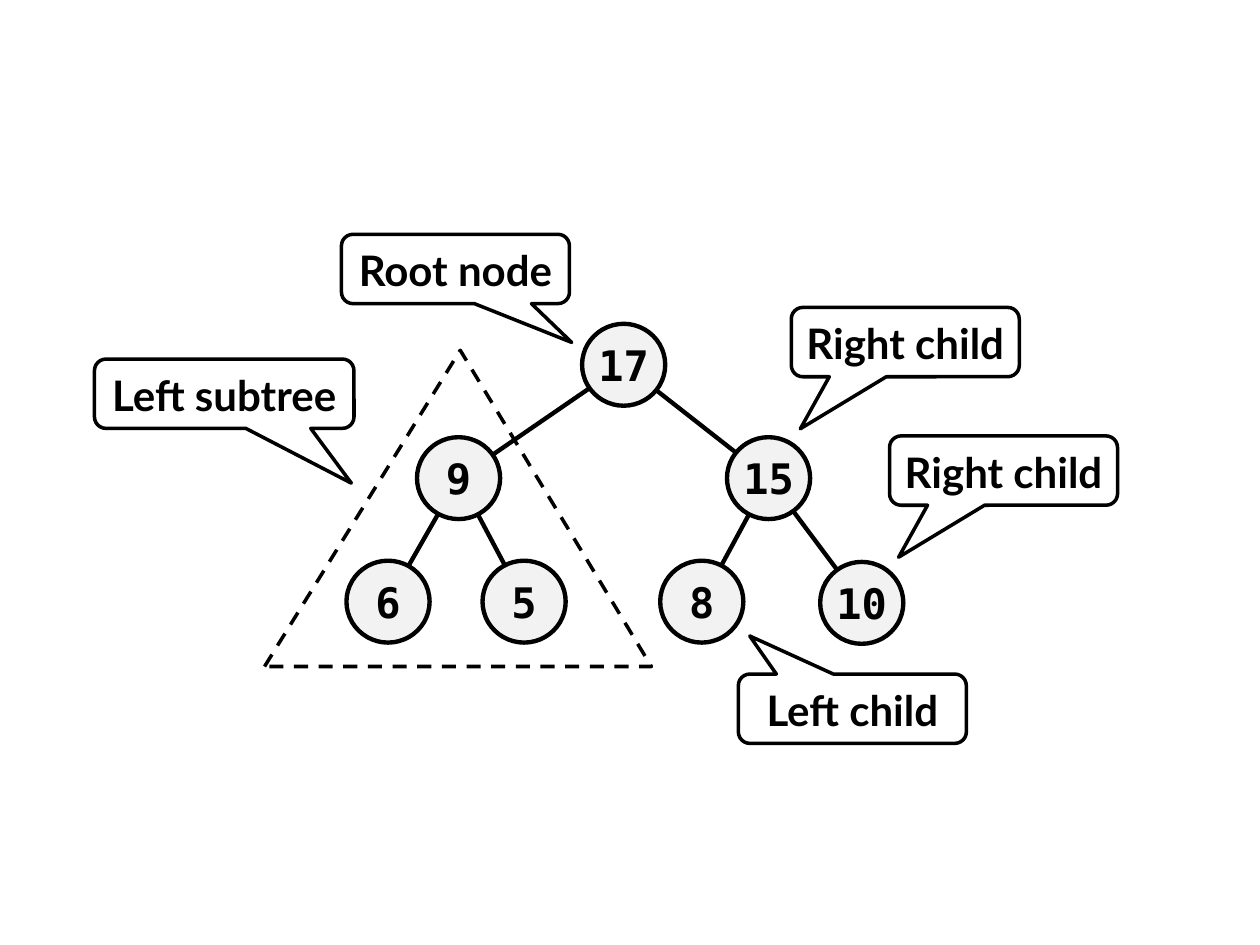
from math import hypot

from lxml import etree
from pptx import Presentation
from pptx.dml.color import RGBColor
from pptx.enum.dml import MSO_LINE
from pptx.enum.shapes import MSO_CONNECTOR, MSO_SHAPE
from pptx.enum.text import MSO_ANCHOR, MSO_AUTO_SIZE, PP_ALIGN
from pptx.oxml.ns import qn
from pptx.util import Inches, Pt

BLACK, WHITE, NODE_GREY = "000000", "FFFFFF", "F2F2F2"
NODE_W, NODE_H = 0.66, 0.65

NODES = {
    "10": (3.76, 1.89), "17": (1.87, 0), "15": (3.02, 0.9), "9": (0.56, 0.9),
    "6": (0, 1.88), "5": (1.08, 1.88), "8": (2.49, 1.88),
}
EDGES = [("17", "9"), ("9", "6"), ("9", "5"), ("17", "15"), ("15", "8"), ("15", "10")]
CALLOUTS = [
    ("Root node", 2.71, 1.86, 1.81, (0.51, 1.06)),
    ("Left subtree", 0.75, 2.85, 2.06, (0.49, 1.29)),
    ("Right child", 6.28, 2.44, 1.81, (-0.46, 1.25)),
    ("Right child", 7.06, 3.46, 1.81, (-0.46, 1.25)),
    ("Left child", 5.86, 5.35, 1.81, (-0.45, -1.05)),
]


def color(hex_code):
    """Turn a hex string into a colour."""
    return RGBColor.from_string(hex_code)


def add_outlined(slide, kind, box, line_width, fill=None):
    """Add a black-outlined preset shape in a box given in inches."""
    shape = slide.shapes.add_shape(kind, *map(Inches, box))
    shape.shadow.inherit = False
    if fill:
        shape.fill.solid()
        shape.fill.fore_color.rgb = color(fill)
    else:
        shape.fill.background()
    shape.line.color.rgb = color(BLACK)
    shape.line.width = Pt(line_width)
    return shape


def write_label(shape, text, font_name):
    """Write one centred bold label and return its paragraph."""
    paragraph = shape.text_frame.paragraphs[0]
    paragraph.alignment = PP_ALIGN.CENTER
    run = paragraph.add_run()
    run.text = text
    run.font.name = font_name
    run.font.size = Pt(24)
    run.font.bold = True
    run.font.color.rgb = color(BLACK)
    return paragraph


def add_edge(slide, parent, child):
    """Join the rims of two nodes given by their centres."""
    (x1, y1), (x2, y2) = parent, child
    share = NODE_W / 2 / hypot(x2 - x1, y2 - y1)
    dx, dy = (x2 - x1) * share, (y2 - y1) * share
    ends = (x1 + dx, y1 + dy, x2 - dx, y2 - dy)
    edge = slide.shapes.add_connector(MSO_CONNECTOR.STRAIGHT, *map(Inches, ends))
    edge.line.color.rgb = color(BLACK)
    edge.line.width = Pt(2.5)
    etree.SubElement(edge._element.spPr, qn("a:effectLst"))


def add_tree(slide, left, top):
    """Draw the edges and nodes of the tree from its top-left corner."""
    centres = {
        value: (left + x + NODE_W / 2, top + y + NODE_H / 2)
        for value, (x, y) in NODES.items()
    }
    for parent, child in EDGES:
        add_edge(slide, centres[parent], centres[child])
    for value, (x, y) in NODES.items():
        box = (left + x, top + y, NODE_W, NODE_H)
        node = add_outlined(slide, MSO_SHAPE.OVAL, box, 2.5, NODE_GREY)
        node.text_frame.word_wrap = False
        node.text_frame.vertical_anchor = MSO_ANCHOR.MIDDLE
        write_label(node, value, "DejaVu Sans Mono")


def add_subtree_outline(slide, box):
    """Draw the dashed triangle around a subtree."""
    triangle = add_outlined(slide, MSO_SHAPE.ISOSCELES_TRIANGLE, box, 2)
    triangle.adjustments[0] = 0.506
    triangle.line.dash_style = MSO_LINE.DASH


def add_callout(slide, text, left, top, width, tip):
    """Draw a speech bubble whose tip is relative to its box."""
    box = (left, top, width, 0.55)
    callout = add_outlined(slide, MSO_SHAPE.ROUNDED_RECTANGULAR_CALLOUT, box, 2, WHITE)
    callout.adjustments[0], callout.adjustments[1] = tip
    frame = callout.text_frame
    frame.word_wrap = True
    frame.auto_size = MSO_AUTO_SIZE.SHAPE_TO_FIT_TEXT
    frame.vertical_anchor = MSO_ANCHOR.TOP
    frame.margin_left = frame.margin_right = Inches(0.08)
    frame.margin_top = frame.margin_bottom = Inches(0.04)
    write_label(callout, text, "Lato").line_spacing = Pt(30)


def main():
    """Build and save the slide."""
    deck = Presentation()
    deck.slide_width, deck.slide_height = Inches(10), Inches(7.5)
    slide = deck.slides.add_slide(deck.slide_layouts[6])
    add_tree(slide, 2.75, 2.57)
    add_subtree_outline(slide, (2.1, 2.78, 3.07, 2.51))
    for callout in CALLOUTS:
        add_callout(slide, *callout)
    deck.save("out.pptx")


main()
